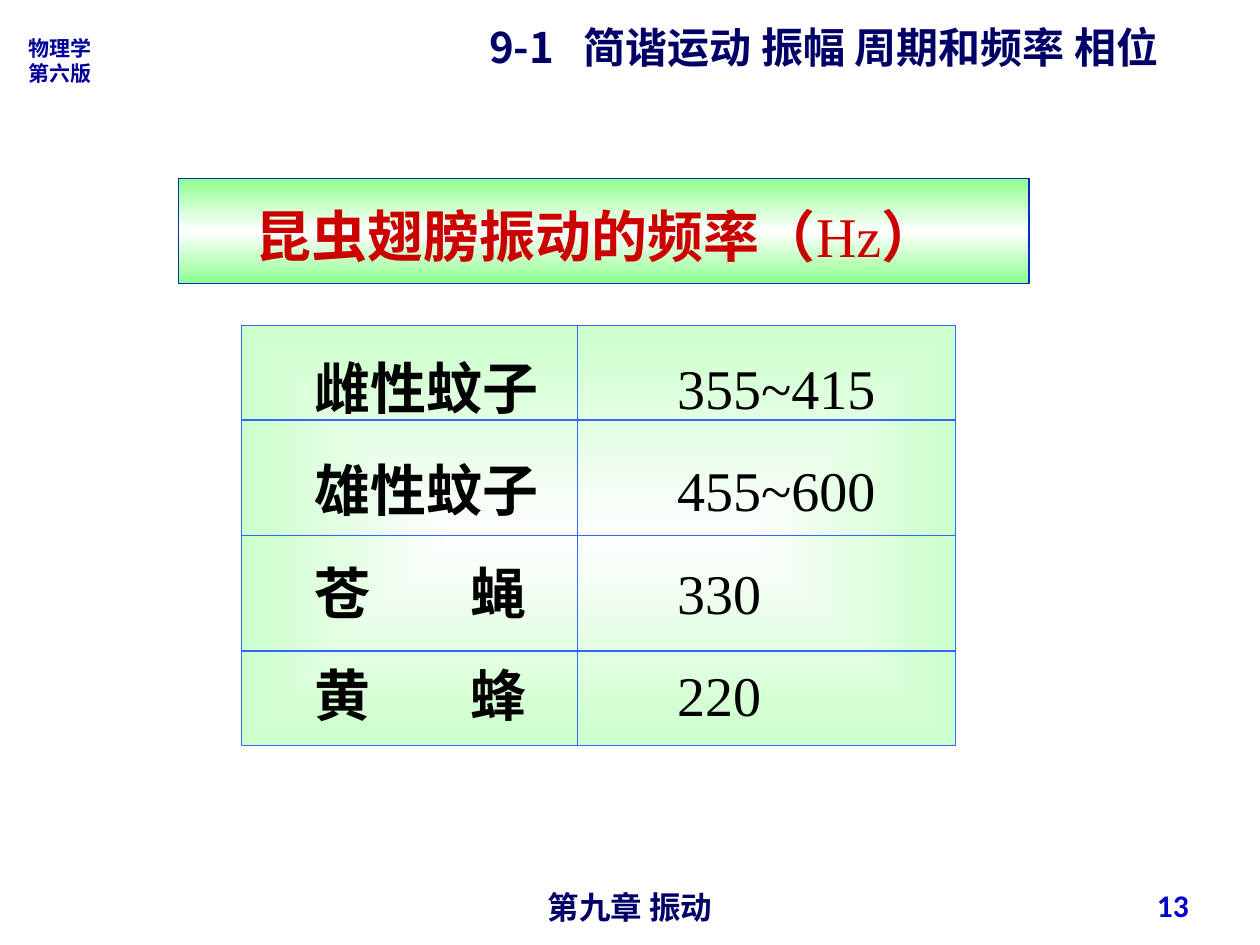
from lxml import etree
from pptx import Presentation
from pptx.dml.color import RGBColor
from pptx.enum.shapes import MSO_CONNECTOR, MSO_SHAPE
from pptx.enum.text import MSO_ANCHOR, PP_ALIGN
from pptx.oxml.ns import qn
from pptx.util import Inches, Pt

COLUMNS, ROWS = 120, 90  # square grid cells over a 10 x 7.5 inch page


def color(hex_text):
    return RGBColor.from_string(hex_text)


class Page:
    """Holds the style and the current slide."""

    serif, sans = "Times New Roman", "Noto Sans CJK SC"
    navy, red, black = "000066", "CC0000", "000000"
    line_blue = "3366FF"

    def __init__(self, deck):
        self.width, self.height = deck.slide_width, deck.slide_height
        self.slide = deck.slides.add_slide(deck.slide_layouts[6])
        self.shapes = self.slide.shapes

    def place(self, column, row):
        return round(column * self.width / COLUMNS), round(row * self.height / ROWS)

    def panel(self, area, stops, line, angle=None):
        """Rectangle with a linear gradient, or one from its centre if no angle."""
        box = self.shapes.add_shape(
            MSO_SHAPE.RECTANGLE, *self.place(*area[:2]), *self.place(*area[2:]))
        box.shadow.inherit = False
        box.line.color.rgb = color(line)
        box.line.width = Pt(0.75)
        box.fill.gradient()
        gradient = box._element.spPr.find(qn("a:gradFill"))
        for child in list(gradient):
            gradient.remove(child)
        stop_list = etree.SubElement(gradient, qn("a:gsLst"))
        for position, value in stops:
            stop = etree.SubElement(stop_list, qn("a:gs"), pos=str(position * 1000))
            etree.SubElement(stop, qn("a:srgbClr"), val=value)
        if angle is None:
            centre = etree.SubElement(gradient, qn("a:path"), {"path": "rect"})
            etree.SubElement(centre, qn("a:fillToRect"),
                             {side: "50000" for side in "ltrb"})
        else:
            etree.SubElement(gradient, qn("a:lin"), ang=str(angle * 60000), scaled="1")
        return box

    def rule(self, start, end):
        line = self.shapes.add_connector(
            MSO_CONNECTOR.STRAIGHT, *self.place(*start), *self.place(*end))
        line.line.color.rgb = color(self.line_blue)
        line.line.width = Pt(0.75)
        etree.SubElement(line._element.spPr, qn("a:effectLst"))

    def text_box(self, area):
        return self.shapes.add_textbox(*self.place(*area[:2]), *self.place(*area[2:]))

    def add_text(self, box, lines, size, font, ink, align=PP_ALIGN.LEFT, tabs=(),
                 left=0.1, top=0.05, anchor=MSO_ANCHOR.TOP, spacing=None, gap=0):
        """Each line is a list of (text, bold) spans."""
        frame = box.text_frame
        frame.word_wrap = True
        frame.vertical_anchor = anchor
        frame.margin_left, frame.margin_top = Inches(left), Inches(top)
        for number, spans in enumerate(lines):
            para = frame.add_paragraph() if number else frame.paragraphs[0]
            para.alignment = align
            if tabs:
                tab_list = etree.SubElement(para._p.get_or_add_pPr(), qn("a:tabLst"))
                for stop in tabs:
                    etree.SubElement(tab_list, qn("a:tab"),
                                     pos=str(Inches(stop)), algn="l")
            if spacing:
                para.line_spacing = Pt(spacing)
            if number and gap:
                para.space_before = Pt(gap)
            for text, bold in spans:
                span = para.add_run()
                span.text = text
                span.font.size, span.font.bold = Pt(size), bold
                span.font.name = font
                span.font.color.rgb = color(ink)
                etree.SubElement(span._r.get_or_add_rPr(), qn("a:ea"),
                                 typeface=self.sans)


def main():
    deck = Presentation()
    deck.slide_width, deck.slide_height = Inches(10), Inches(7.5)
    page = Page(deck)

    # Header and footer
    page.add_text(page.text_box((45.4, 1.5, 73.2, 6)),
                  [[("9-1\t简谐运动 振幅 周期和频率 相位", True)]],
                  24, page.sans, page.navy, tabs=[0.75])
    page.add_text(page.text_box((41, 84, 38, 3.5)), [[("第九章 振动", True)]],
                  18, "Arial", page.navy, PP_ALIGN.CENTER)
    page.add_text(page.text_box((1.5, 2.75, 8.6, 6)),
                  [[("物理学", True)], [("第六版", True)]], 12, page.sans, "000099")
    page.add_text(page.text_box((86.4, 83.75, 28, 5.4)), [[("13", True)]],
                  18, "Calibri", "0000CC", PP_ALIGN.RIGHT)

    # Grid background
    left, top, right, bottom = 23, 31, 91, 71
    page.panel((left, top, right - left, bottom - top),
               [(0, "FEFEFE"), (100, "CCFFCC")], page.line_blue)

    # Banner
    banner = page.panel((17, 17, 81, 10),
                        [(0, "8FFF8F"), (50, "FFFFFF"), (100, "8FFF8F")],
                        "002DBE", angle=90)
    page.add_text(banner,
                  [[("昆虫翅膀振动的频率（", True), ("Hz", False), ("）", True)]],
                  32, page.serif, page.red, left=0.61, top=0.12,
                  anchor=MSO_ANCHOR.MIDDLE)

    # Insects and their wing frequencies
    insects = [("雌性蚊子", "355~415"), ("雄性蚊子", "455~600"),
               ("苍\t蝇", "330"), ("黄\t蜂", "220")]
    page.add_text(page.text_box((25, 32.6, 82, 36.8)),
                  [[(name + "\t", True), (value, False)] for name, value in insects],
                  32, page.serif, page.black, tabs=[1.24, 2.88], left=0.41,
                  spacing=41, gap=17.6)

    # Grid lines
    for row in (40, 51, 62):
        page.rule((left, row), (right, row))
    page.rule((55, top), (55, bottom))

    deck.save("out.pptx")


if __name__ == "__main__":
    main()
